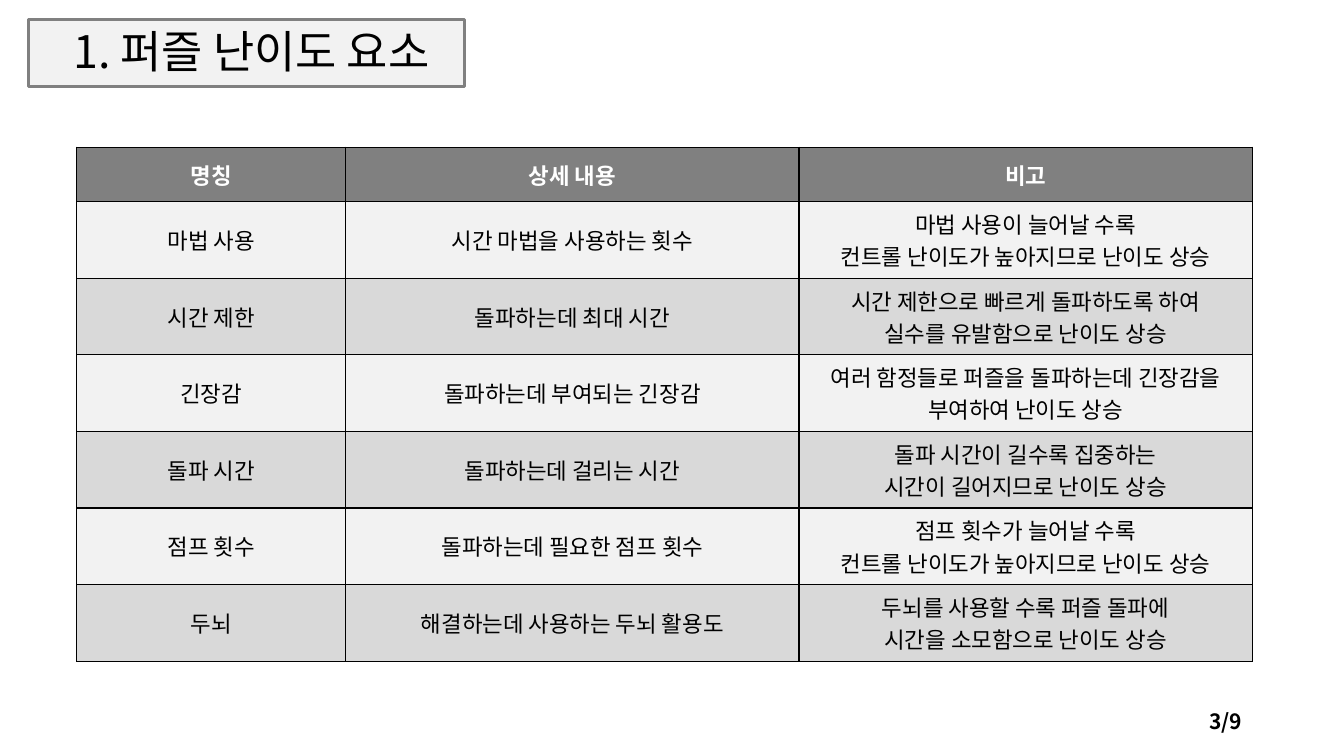
from lxml import etree
from pptx import Presentation
from pptx.dml.color import RGBColor
from pptx.enum import shapes, text
from pptx.oxml import ns
from pptx.util import Inches, Pt

FONT = "Noto Sans CJK KR"
BLACK = RGBColor(0x00, 0x00, 0x00)
WHITE = RGBColor(0xFF, 0xFF, 0xFF)
GRAY = RGBColor(0x80, 0x80, 0x80)
PALE = RGBColor(0xF2, 0xF2, 0xF2)
SILVER = RGBColor(0xD9, 0xD9, 0xD9)

HEAD = ("명칭", "상세 내용", "비고")
ROWS = (
    ("마법 사용", "시간 마법을 사용하는 횟수",
     "마법 사용이 늘어날 수록\n컨트롤 난이도가 높아지므로 난이도 상승"),
    ("시간 제한", "돌파하는데 최대 시간",
     "시간 제한으로 빠르게 돌파하도록 하여\n실수를 유발함으로 난이도 상승"),
    ("긴장감", "돌파하는데 부여되는 긴장감",
     "여러 함정들로 퍼즐을 돌파하는데 긴장감을\n부여하여 난이도 상승"),
    ("돌파 시간", "돌파하는데 걸리는 시간",
     "돌파 시간이 길수록 집중하는\n시간이 길어지므로 난이도 상승"),
    ("점프 횟수", "돌파하는데 필요한 점프 횟수",
     "점프 횟수가 늘어날 수록\n컨트롤 난이도가 높아지므로 난이도 상승"),
    ("두뇌", "해결하는데 사용하는 두뇌 활용도",
     "두뇌를 사용할 수록 퍼즐 돌파에\n시간을 소모함으로 난이도 상승"),
)


def write(frame, words, size=16, color=BLACK, bold=False,
          align=text.PP_ALIGN.CENTER, space=None):
    frame.text = words
    for para in frame.paragraphs:
        para.alignment = align
        if space:
            para.line_spacing = space
        for run in para.runs:
            font = run.font
            font.name, font.size, font.bold = FONT, Pt(size), bold
            font.color.rgb = color
            etree.SubElement(run._r.get_or_add_rPr(), ns.qn("a:ea"), typeface=FONT)


def border(cell):
    props = cell._tc.get_or_add_tcPr()
    for side in "LRTB":
        line = etree.SubElement(props, ns.qn(f"a:ln{side}"), w=str(Pt(1)))
        fill = etree.SubElement(line, ns.qn("a:solidFill"))
        etree.SubElement(fill, ns.qn("a:srgbClr"), val=str(BLACK))


def heading(slide, left, top, width, height):
    panel = slide.shapes.add_shape(
        shapes.MSO_SHAPE.RECTANGLE,
        Inches(left), Inches(top), Inches(width), Inches(height))
    panel.shadow.inherit = False
    panel.fill.solid()
    panel.fill.fore_color.rgb = PALE
    panel.line.color.rgb = GRAY
    panel.line.width = Pt(2.25)
    title = slide.shapes.title
    title.left, title.top = Inches(left + 0.14), Inches(top - 0.01)
    title.width, title.height = Inches(width - 0.18), Inches(height - 0.02)
    title.text_frame.vertical_anchor = text.MSO_ANCHOR.BOTTOM
    write(title.text_frame, "1. 퍼즐 난이도 요소", size=32, space=0.9)
    title._element.addprevious(panel._element)


def factors(slide, left, top, width, height):
    table = slide.shapes.add_table(
        len(ROWS) + 1, len(HEAD),
        Inches(left), Inches(top), Inches(width), Inches(height)).table
    first, head = 2.67, 0.54
    for i, col in enumerate(table.columns):
        col.width = Inches((width - first) / 2 if i else first)
    for i, row in enumerate(table.rows):
        row.height = Inches((height - head) / len(ROWS) if i else head)
    for r, row in enumerate((HEAD, *ROWS)):
        shade = (SILVER, PALE)[r % 2] if r else GRAY
        for c, words in enumerate(row):
            cell = table.cell(r, c)
            cell.vertical_anchor = text.MSO_ANCHOR.MIDDLE
            border(cell)
            cell.fill.solid()
            cell.fill.fore_color.rgb = shade
            write(cell.text_frame, words, color=BLACK if r else WHITE, bold=r == 0)


def number(slide, left, top, width, height):
    box = slide.shapes.add_textbox(
        Inches(left), Inches(top), Inches(width), Inches(height))
    frame = box.text_frame
    frame.word_wrap = True
    frame.vertical_anchor = text.MSO_ANCHOR.MIDDLE
    write(frame, "3/9", size=15, bold=True, align=text.PP_ALIGN.RIGHT)


def main():
    deck = Presentation()
    deck.slide_width, deck.slide_height = Inches(13.33), Inches(7.5)
    slide = deck.slides.add_slide(deck.slide_layouts[5])
    heading(slide, 0.28, 0.19, 4.33, 0.67)
    number(slide, 9.42, 6.95, 3, 0.4)
    factors(slide, 0.76, 1.46, 11.66, 5.1)
    deck.save("out.pptx")


if __name__ == "__main__":
    main()
